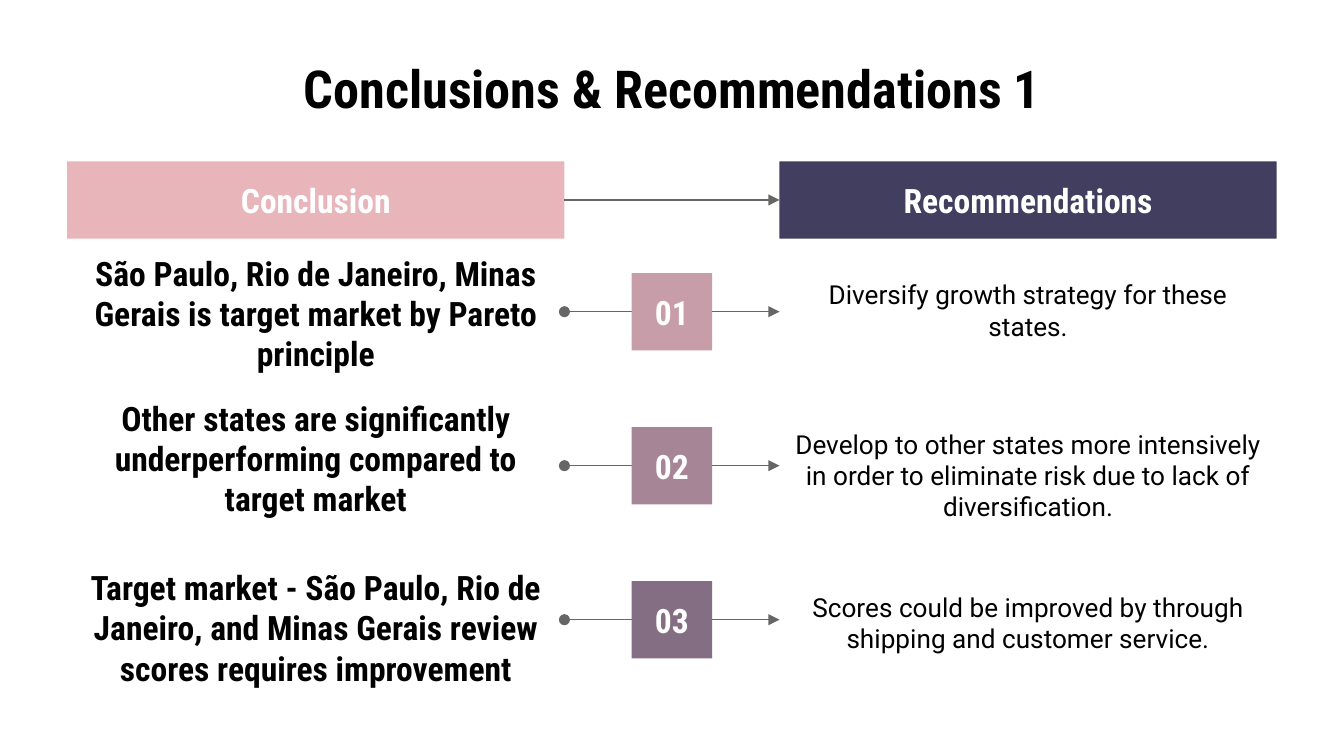
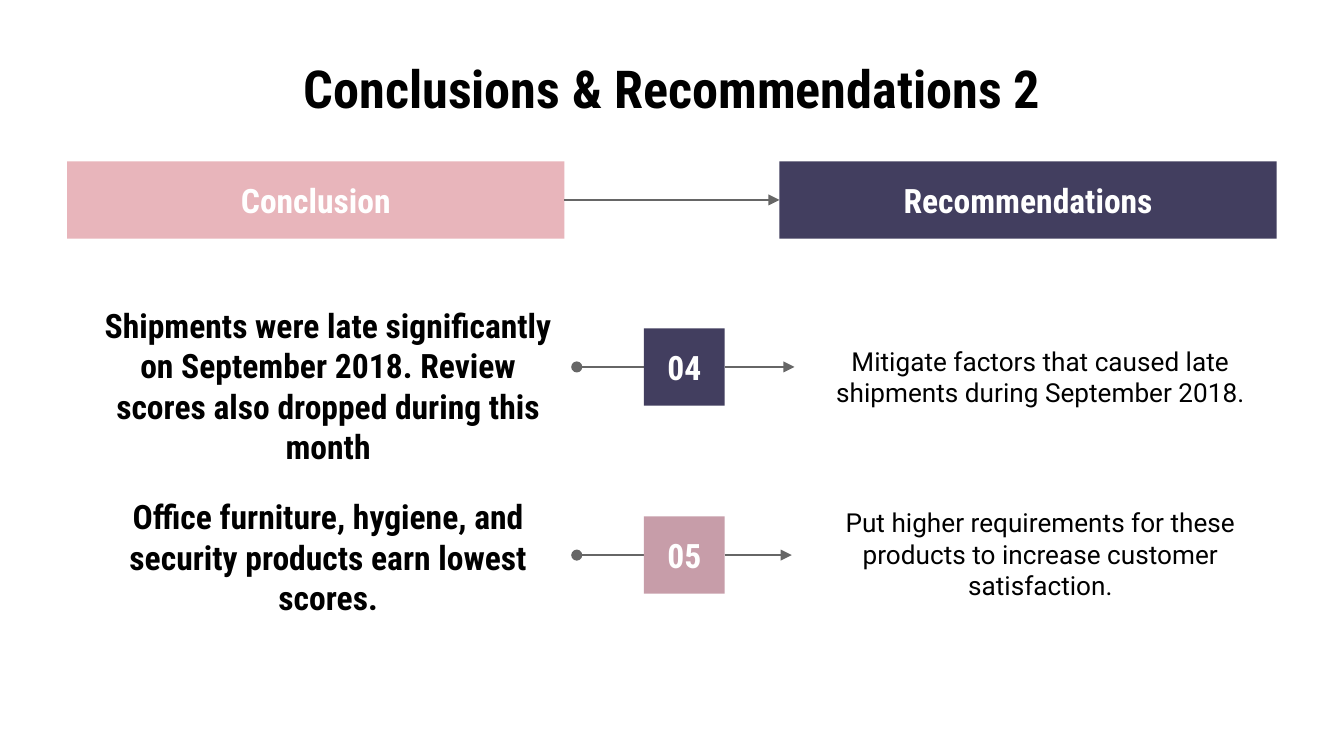
from lxml.etree import SubElement
from pptx import Presentation
from pptx.dml.color import RGBColor
from pptx.enum.shapes import MSO_CONNECTOR, MSO_SHAPE
from pptx.enum.text import MSO_ANCHOR, PP_ALIGN
from pptx.oxml.ns import qn
from pptx.util import Pt

BLACK = RGBColor(0x00, 0x00, 0x00)
WHITE = RGBColor(0xFF, 0xFF, 0xFF)
GRAY = RGBColor(0x66, 0x66, 0x66)
PINK = RGBColor(0xE8, 0xB5, 0xBB)
NAVY = RGBColor(0x42, 0x3E, 0x5F)
ROSE = RGBColor(0xC7, 0x9D, 0xA9)
MAUVE = RGBColor(0xA6, 0x85, 0x96)
PLUM = RGBColor(0x84, 0x6E, 0x84)

HEAD_FONT, BODY_FONT = "Roboto Condensed", "Roboto"
WIDTH, HEIGHT = 720, 405
MARGIN = 36
COLUMN = 266.4
RIGHT = WIDTH - MARGIN - COLUMN
BAND_TOP, BAND = 86.4, 41.4
BADGE, STEM = 43.2, 36
LINE_BOX = 21.6


class Deck:
    def __init__(self):
        self.prs = Presentation()
        self.prs.slide_width, self.prs.slide_height = Pt(WIDTH), Pt(HEIGHT)
        self.slide = None

    def start(self, title):
        """Add a slide with its title, the two column bands and their arrow."""
        self.slide = self.prs.slides.add_slide(self.prs.slide_layouts[6])
        self.text(title, MARGIN, 47.2, WIDTH - 2 * MARGIN, size=28)
        self.block("Conclusion", MARGIN, BAND_TOP, COLUMN, PINK)
        self.block("Recommendations", RIGHT, BAND_TOP, COLUMN, NAVY)
        self.line(MARGIN + COLUMN, RIGHT, BAND_TOP + BAND / 2, "tailEnd", "triangle")

    def label(self, shape, text, size, color, font):
        frame = shape.text_frame
        frame.text = text
        frame.word_wrap = True
        frame.vertical_anchor = MSO_ANCHOR.MIDDLE
        frame.margin_left = frame.margin_right = Pt(7.2)
        frame.margin_top = frame.margin_bottom = Pt(7.2)
        para = frame.paragraphs[0]
        para.alignment = PP_ALIGN.CENTER
        style = para.runs[0].font
        style.name, style.size = font, Pt(size)
        style.bold = font == HEAD_FONT
        style.color.rgb = color

    def text(self, text, left, mid, width, size=18, font=HEAD_FONT):
        """Place text centred on the height mid."""
        box = self.slide.shapes.add_textbox(
            Pt(left), Pt(mid - LINE_BOX / 2), Pt(width), Pt(LINE_BOX))
        self.label(box, text, size, BLACK, font)

    def block(self, text, left, top, width, fill):
        shape = self.slide.shapes.add_shape(
            MSO_SHAPE.RECTANGLE, Pt(left), Pt(top), Pt(width), Pt(BAND))
        shape.shadow.inherit = False
        shape.fill.solid()
        shape.fill.fore_color.rgb = fill
        shape.line.fill.background()
        self.label(shape, text, 18, WHITE, HEAD_FONT)

    def line(self, start, end, mid, side, tip):
        """Draw a level line; side is headEnd or tailEnd and gets the tip."""
        link = self.slide.shapes.add_connector(
            MSO_CONNECTOR.STRAIGHT, Pt(start), Pt(mid), Pt(end), Pt(mid))
        link.line.color.rgb = GRAY
        link.line.width = Pt(0.75)
        props = link._element.spPr
        SubElement(props.find(qn("a:ln")), qn(f"a:{side}"), type=tip)
        SubElement(props, qn("a:effectLst"))

    def row(self, mid, indent, number, fill, finding, drop, advice, sink, extra=0):
        """Link a finding to its advice; drop and sink move the texts off mid."""
        left = MARGIN + indent
        stem = left + COLUMN
        badge = stem + STEM
        out = badge + BADGE
        self.text(finding, left, mid + drop, COLUMN)
        self.line(stem, badge, mid, "headEnd", "oval")
        self.block(number, badge, mid - BAND / 2, BADGE, fill)
        self.line(out, out + STEM + extra, mid, "tailEnd", "triangle")
        self.text(advice, out + STEM, mid + sink, COLUMN, 14, BODY_FONT)


# Title, first row's middle, row pitch, indent, rows
PAGES = [
    ("Conclusions & Recommendations 1", 167, 82.5, 0, [
        ("01", ROSE,
         "São Paulo, Rio de Janeiro, Minas Gerais is target market by Pareto principle", 0.8,
         "Diversify growth strategy for these states.", -0.8),
        ("02", MAUVE,
         "Other states are significantly underperforming compared to target market", -4,
         "Develop to other states more intensively in order to eliminate risk "
         "due to lack of diversification.", 5),
        ("03", PLUM,
         "Target market - São Paulo, Rio de Janeiro, and Minas Gerais review "
         "scores requires improvement", 4.2,
         "Scores could be improved by through shipping and customer service.", 1.5),
    ]),
    ("Conclusions & Recommendations 2", 196.6, 100.8, 6.6, [
        ("04", NAVY,
         "Shipments were late significantly on September 2018. Review scores "
         "also dropped during this month", 10,
         "Mitigate factors that caused late shipments during September 2018.", 5, 1.4),
        ("05", ROSE,
         "Office furniture, hygiene, and security products earn lowest scores.", 0.8,
         "Put higher requirements for these products to increase customer satisfaction.", -0.8),
    ]),
]


def main():
    deck = Deck()
    for title, first, pitch, indent, rows in PAGES:
        deck.start(title)
        for i, row in enumerate(rows):
            deck.row(first + i * pitch, indent, *row)
    deck.prs.save("out.pptx")


if __name__ == "__main__":
    main()
